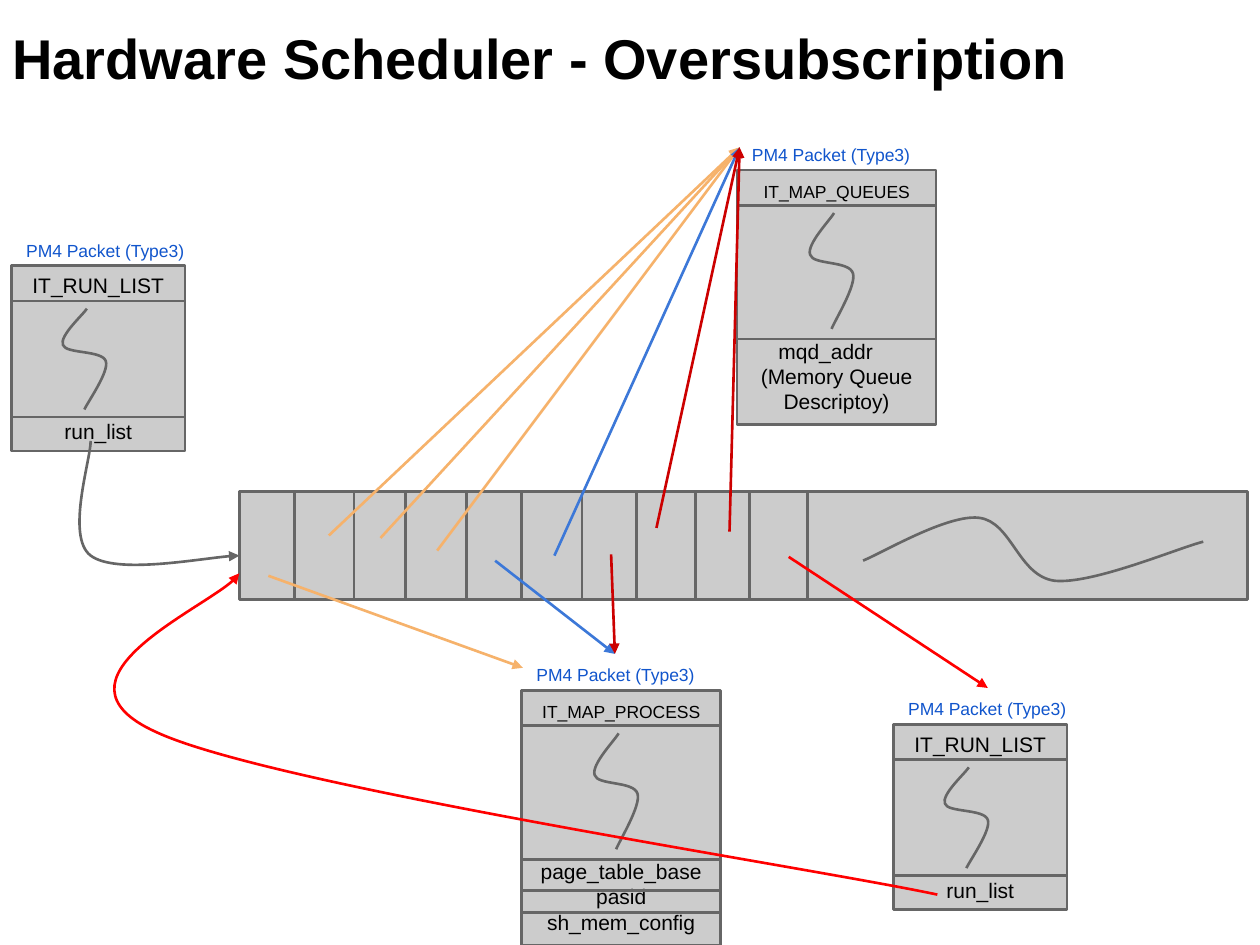
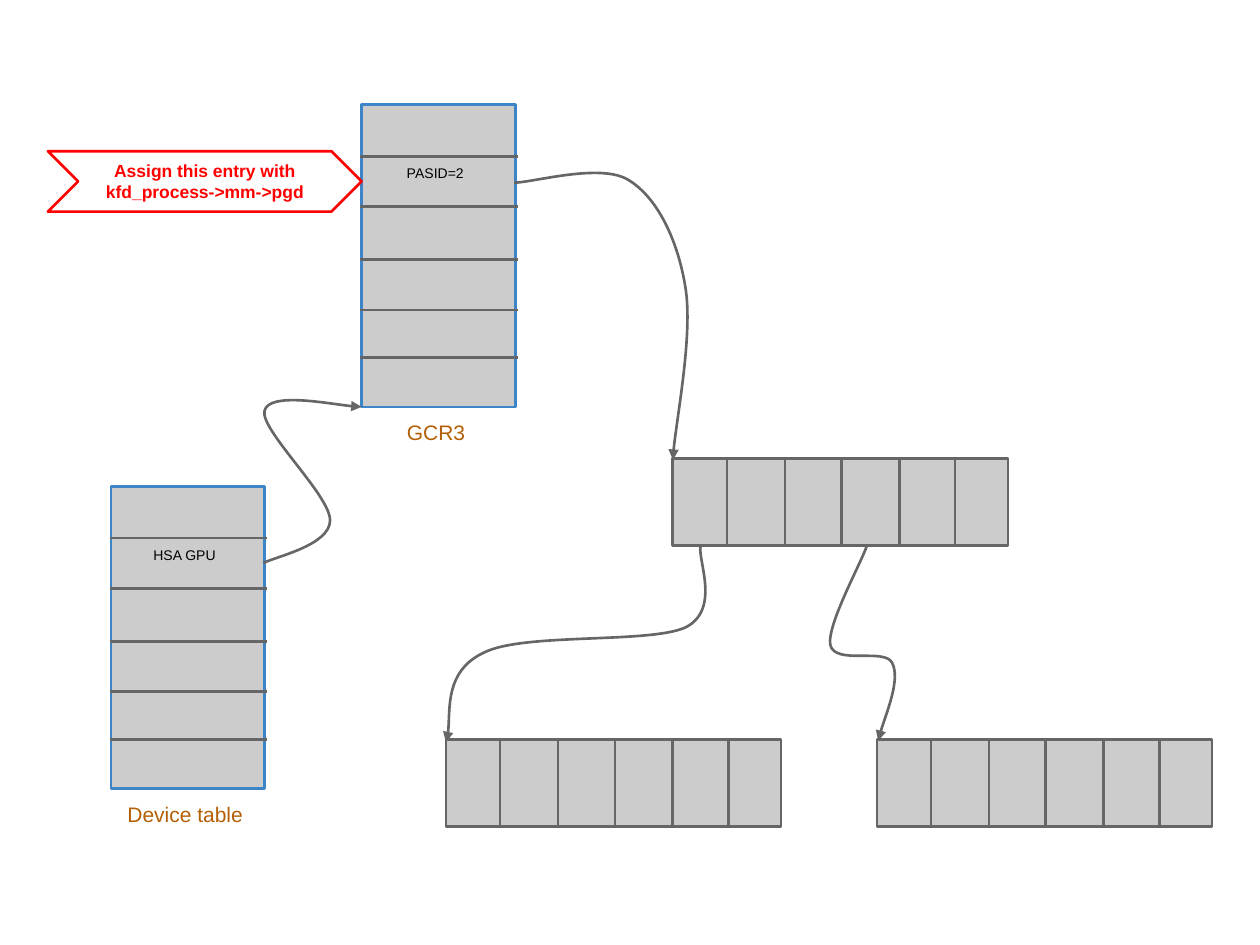
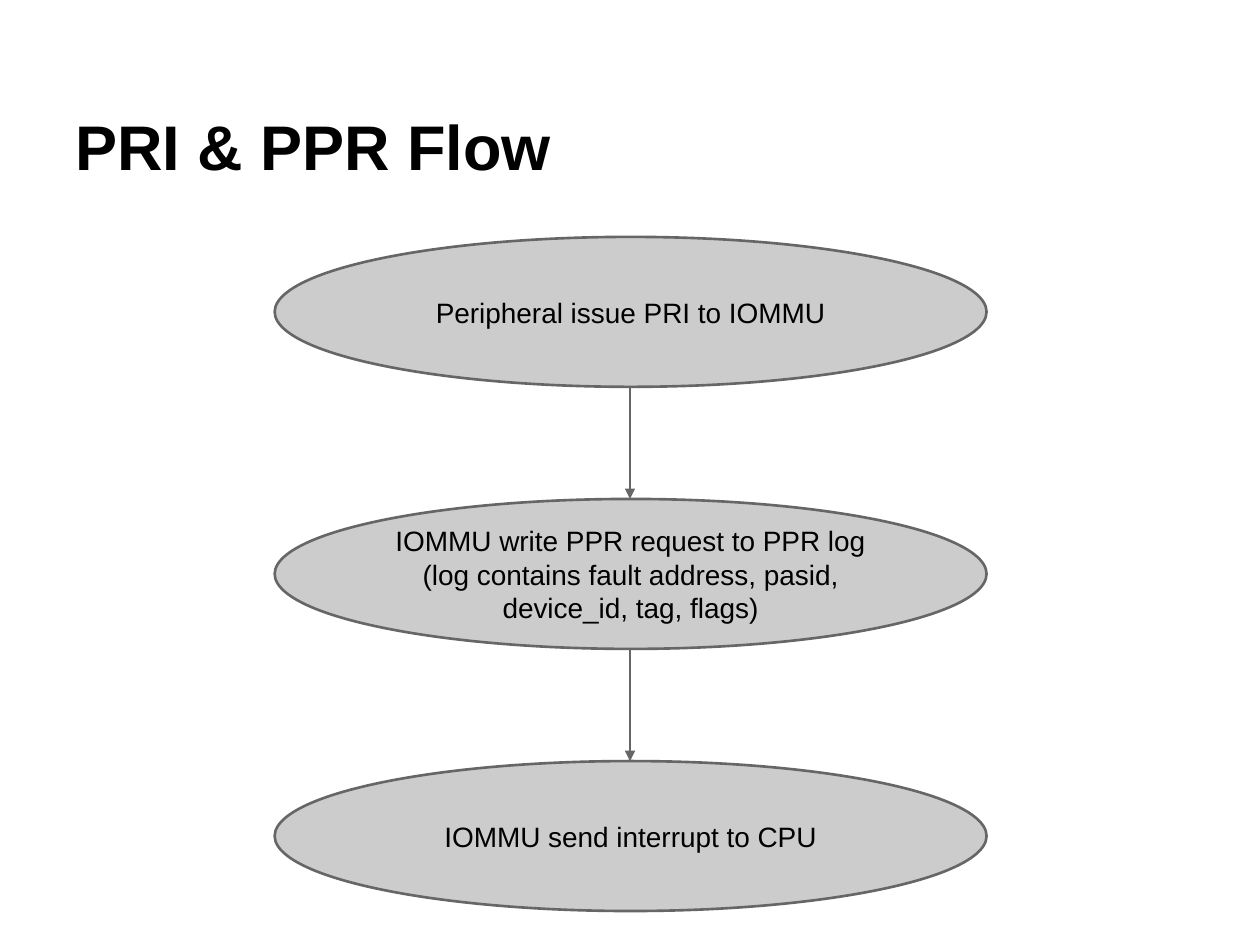
from lxml import etree
from pptx import Presentation
from pptx import util as u
from pptx.dml.color import RGBColor
from pptx.enum import shapes, text
from pptx.oxml.ns import qn

BLACK = RGBColor(0x00, 0x00, 0x00)
SILVER = RGBColor(0xCC, 0xCC, 0xCC)
GRAY = RGBColor(0x66, 0x66, 0x66)
LABEL_BLUE = RGBColor(0x11, 0x55, 0xCC)
TABLE_BLUE = RGBColor(0x3D, 0x85, 0xC6)
ARROW_BLUE = RGBColor(0x3C, 0x78, 0xD8)
ORANGE = RGBColor(0xF6, 0xB2, 0x6B)
BROWN = RGBColor(0xB4, 0x5F, 0x06)
DARK_RED = RGBColor(0xCC, 0x00, 0x00)
RED = RGBColor(0xFF, 0x00, 0x00)

FONT = "Arial"
LINE_WIDTH = u.Pt(1.5)
RECTANGLE = shapes.MSO_SHAPE.RECTANGLE
LEFT, CENTER = text.PP_ALIGN.LEFT, text.PP_ALIGN.CENTER
TOP, MIDDLE, BOTTOM = (text.MSO_ANCHOR.TOP, text.MSO_ANCHOR.MIDDLE,
                       text.MSO_ANCHOR.BOTTOM)

deck = Presentation()
deck.slide_width, deck.slide_height = u.Inches(10), u.Inches(7.5)
GRID = deck.slide_width // 10  # square cells: 10 columns by 7.5 rows
INSET = GRID // 10
run_page, table_page, flow_page = [
    deck.slides.add_slide(deck.slide_layouts[6]) for _ in range(3)]


def add_box(page, place, lines=(), size=12, color=BLACK, bold=False, align=CENTER,
            anchor=TOP, kind=None, fill=None, edge=GRAY):
    """Add a text box, or a shape when kind is given; place is in grid cells."""
    place = [round(length * GRID) for length in place]
    if kind is None:
        box = page.shapes.add_textbox(*place)
    else:
        box = page.shapes.add_shape(kind, *place)
        box.shadow.inherit = False
        box.line.color.rgb, box.line.width = edge, LINE_WIDTH
        if fill is None:
            box.fill.background()
        else:
            box.fill.solid()
            box.fill.fore_color.rgb = fill
    frame = box.text_frame
    frame.word_wrap, frame.vertical_anchor = True, anchor
    frame.margin_left = frame.margin_right = INSET
    frame.margin_top = frame.margin_bottom = INSET
    frame.text = "\n".join(lines)
    for para in frame.paragraphs:
        para.alignment = align
        para.font.name, para.font.size = FONT, u.Pt(size)
        para.font.bold, para.font.color.rgb = bold, color
    return box


def add_stroke(page, points, color=GRAY, arrow=False):
    """Join two points by a line, or 3n + 1 points by Bezier curves."""
    points = [(round(x * GRID), round(y * GRID)) for x, y in points]
    if len(points) == 2:
        stroke = page.shapes.add_connector(
            shapes.MSO_CONNECTOR.STRAIGHT, *points[0], *points[1])
    else:
        builder = page.shapes.build_freeform(*points[0])
        builder.add_line_segments(points[1:], close=False)
        stroke = builder.convert_to_shape()
        stroke.fill.background()
        outline = stroke._element.spPr.find(".//" + qn("a:path"))
        segments = outline.findall(qn("a:lnTo"))
        for first in range(0, len(segments), 3):
            curve = etree.SubElement(outline, qn("a:cubicBezTo"))
            for segment in segments[first:first + 3]:
                curve.append(segment[0])
                outline.remove(segment)
    stroke.line.color.rgb, stroke.line.width = color, LINE_WIDTH
    if arrow:
        etree.SubElement(stroke.line._get_or_add_ln(), qn("a:tailEnd"), type="triangle")
    etree.SubElement(stroke._element.spPr, qn("a:effectLst"))


# Titles
title = add_box(run_page, (0, 0, 10, 1.25), ["Hardware Scheduler - Oversubscription"],
                32, bold=True, align=LEFT, anchor=BOTTOM)
title.text_frame.margin_bottom = round(0.62 * GRID)
add_box(flow_page, (0.5, 0.3, 9, 1.25), ["PRI & PPR Flow"], 36, bold=True,
        align=LEFT, anchor=BOTTOM)

# Slide 1: packets, each with header, squiggle for skipped words, and fields
SQUIGGLE = [(0, 0), (-0.03, 0.06), (-0.22, 0.27), (-0.19, 0.36), (-0.17, 0.45),
            (0.12, 0.41), (0.15, 0.52), (0.18, 0.62), (0.01, 0.92), (-0.02, 1)]
RUN_LIST = (1.38, 1.47, 0.6, 0.8, 12, 69, "IT_RUN_LIST", ["run_list"], [1.2])
MAP_PROCESS = (1.58, 2.02, 0.77, 0.92, 10, 78, "IT_MAP_PROCESS",
               ["page_table_base", "pasid", "sh_mem_config"], [1.34, 1.59, 1.76])
MAP_QUEUES = (1.58, 2.02, 0.77, 0.92, 10, 78, "IT_MAP_QUEUES",
              ["mqd_addr", "(Memory Queue Descriptoy)"], [1.34])
for left, top, packet in [(0.09, 2.11, RUN_LIST), (4.14, 5.48, MAP_PROCESS),
                          (5.85, 1.35, MAP_QUEUES), (7.09, 5.75, RUN_LIST)]:
    (width, height, squiggle_left, squiggle_height, header_size, gap,
     header, fields, dividers) = packet
    box = add_box(run_page, (left, top, width, height), [header, *fields],
                  anchor=MIDDLE, kind=RECTANGLE, fill=SILVER)
    header_para, first_field = box.text_frame.paragraphs[:2]
    header_para.font.size = u.Pt(header_size)
    first_field.space_before = u.Pt(gap)
    if packet is MAP_QUEUES:
        first_field.alignment = LEFT
        first_field._p.get_or_add_pPr().set("marL", str(round(0.23 * GRID)))
    add_box(run_page, (left + 0.02, top - 0.29, 1.46, 0.23), ["PM4 Packet (Type3)"],
            10, LABEL_BLUE, align=LEFT)
    for divider in [0.28, *dividers]:
        add_stroke(run_page, [(left + 0.01, top + divider),
                              (left + 0.01 + width, top + divider)])
    add_stroke(run_page, [(left + squiggle_left + x, top + 0.34 + y * squiggle_height)
                          for x, y in SQUIGGLE])

# Slide 1: run list buffer
add_box(run_page, (1.9, 3.9, 8, 0.86), kind=RECTANGLE, fill=SILVER)
for x in [2.34, 2.81, 3.22, 3.7, 4.14, 4.62, 5.05, 5.52, 5.95, 6.41]:
    add_stroke(run_page, [(x, 3.91), (x, 4.77)])
add_stroke(run_page, [(6.85, 4.45), (7, 4.39), (7.52, 4.08), (7.77, 4.11), (8.03, 4.14),
                      (8.08, 4.57), (8.37, 4.61), (8.67, 4.64), (9.35, 4.35), (9.55, 4.3)])

# Slide 1: arrows from buffer entries to packets
QUEUES_CORNER, PROCESS_TOP = (5.87, 1.17), (4.88, 5.19)
for start, end, color in [
        ((2.13, 4.57), (4.15, 5.3), ORANGE),
        ((2.61, 4.25), QUEUES_CORNER, ORANGE),
        ((3.02, 4.27), QUEUES_CORNER, ORANGE),
        ((3.47, 4.37), QUEUES_CORNER, ORANGE),
        ((3.93, 4.45), PROCESS_TOP, ARROW_BLUE),
        ((4.4, 4.41), QUEUES_CORNER, ARROW_BLUE),
        ((4.85, 4.4), PROCESS_TOP, DARK_RED),
        ((5.21, 4.19), QUEUES_CORNER, DARK_RED),
        ((5.79, 4.22), QUEUES_CORNER, DARK_RED),
        ((6.26, 4.42), (7.84, 5.46), RED)]:
    add_stroke(run_page, [start, end], color, arrow=True)

# Slide 1: arrows from run_list fields back to the buffer
add_stroke(run_page, [(0.72, 3.5), (0.72, 3.65), (0.52, 4.26), (0.72, 4.41),
                      (0.92, 4.56), (1.71, 4.41), (1.9, 4.41)], arrow=True)
add_stroke(run_page, [(7.44, 7.1), (6.41, 6.88), (2.16, 6.24), (1.24, 5.81),
                      (0.31, 5.39), (1.79, 4.76), (1.9, 4.55)], RED, arrow=True)

# Slide 2: upright tables with one named entry
for left, top, entry, caption in [(0.88, 3.86, "HSA GPU", "Device table"),
                                  (2.87, 0.83, "PASID=2", "GCR3")]:
    add_box(table_page, (left, top, 1.22, 2.4), kind=RECTANGLE, fill=SILVER,
            edge=TABLE_BLUE)
    for divider in [0.41, 0.81, 1.23, 1.63, 2.01]:
        add_stroke(table_page, [(left - 0.01, top + divider), (left + 1.24, top + divider)])
    add_box(table_page, (left - 0.04, top + 0.41, 1.25, 0.42), [entry], 8)
    add_box(table_page, (left - 0.07, top + 2.4, 1.32, 0.42), [caption], 12, BROWN)

# Slide 2: page tables lying flat
for left, top in [(3.54, 5.87), (6.96, 5.87), (5.34, 3.64)]:
    add_box(table_page, (left, top, 2.66, 0.69), kind=RECTANGLE, fill=SILVER)
    for divider in [0.43, 0.89, 1.34, 1.8, 2.24]:
        add_stroke(table_page, [(left + divider, top + 0.01), (left + divider, top + 0.7)])

# Slide 2: pointers between tables
for points in [
        [(2.09, 4.47), (2.18, 4.42), (2.62, 4.33), (2.62, 4.13), (2.62, 3.93),
         (2.06, 3.41), (2.1, 3.26), (2.14, 3.11), (2.74, 3.23), (2.87, 3.23)],
        [(4.08, 1.45), (4.23, 1.45), (4.77, 1.29), (4.99, 1.43), (5.22, 1.57),
         (5.38, 1.91), (5.44, 2.28), (5.5, 2.65), (5.35, 3.42), (5.34, 3.65)],
        [(5.56, 4.34), (5.54, 4.45), (5.72, 4.84), (5.44, 4.98), (5.15, 5.11),
         (4.15, 5.02), (3.84, 5.18), (3.52, 5.33), (3.59, 5.77), (3.54, 5.89)],
        [(6.88, 4.33), (6.84, 4.46), (6.56, 4.96), (6.59, 5.12), (6.63, 5.28),
         (7.02, 5.14), (7.08, 5.26), (7.15, 5.39), (6.99, 5.77), (6.97, 5.88)]]:
    add_stroke(table_page, points, arrow=True)
add_box(table_page, (0.38, 1.2, 2.49, 0.48), ["Assign this entry with kfd_process->mm->pgd"],
        10, RED, bold=True, anchor=MIDDLE, kind=shapes.MSO_SHAPE.CHEVRON, edge=RED)

# Slide 3: steps joined by arrows
STEP_TOP, STEP_HEIGHT, STEP_PITCH = 1.88, 1.19, 2.08
STEPS = [["Peripheral issue PRI to IOMMU"],
         ["IOMMU write PPR request to PPR log",
          "(log contains fault address, pasid, device_id, tag, flags)"],
         ["IOMMU send interrupt to CPU"]]
for number, lines in enumerate(STEPS):
    top = STEP_TOP + number * STEP_PITCH
    add_box(flow_page, (2.18, top, 5.65, STEP_HEIGHT), lines, 16, anchor=MIDDLE,
            kind=shapes.MSO_SHAPE.OVAL, fill=SILVER)
    if number:
        add_stroke(flow_page, [(5, top - STEP_PITCH + STEP_HEIGHT), (5, top)], arrow=True)

deck.save("out.pptx")
